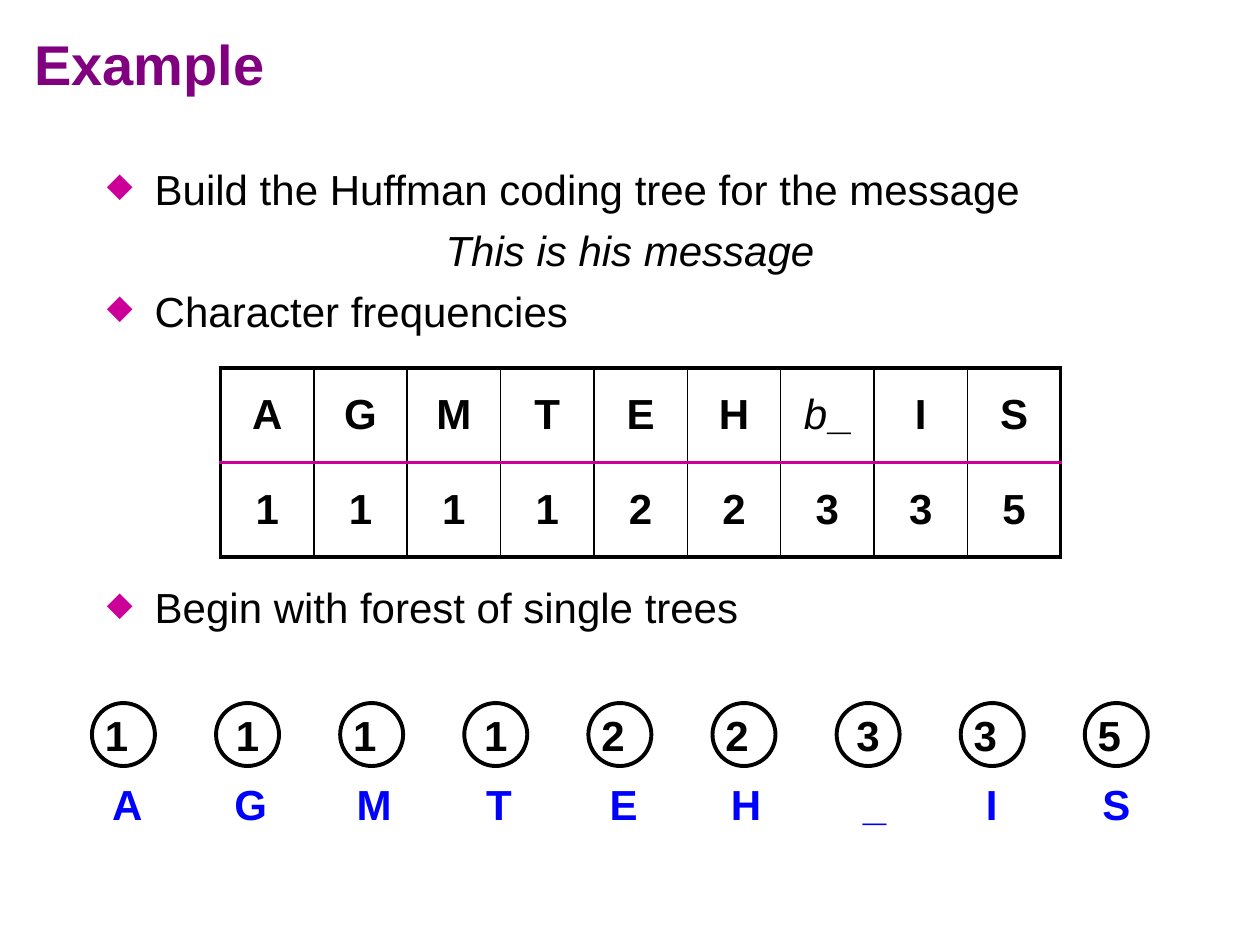
from lxml import etree
from pptx import Presentation
from pptx.dml.color import RGBColor
from pptx.enum.shapes import MSO_SHAPE
from pptx.enum.text import MSO_ANCHOR, PP_ALIGN
from pptx.oxml.ns import qn
from pptx.util import Inches, Pt

LEFT, CENTER = PP_ALIGN.LEFT, PP_ALIGN.CENTER
MIDDLE = MSO_ANCHOR.MIDDLE
BLACK, BLUE, PURPLE, MAGENTA = "000000", "0000FF", "800080", "CC0099"


def color(value):
    return RGBColor.from_string(value)


def add_span(para, text, fill=BLACK, size=24, bold=True, italic=False):
    """Add one run of formatted text to a paragraph."""
    span = para.add_run()
    span.text = text
    span.font.name = "Arial"
    span.font.size = Pt(size)
    span.font.bold = bold
    span.font.italic = italic
    span.font.color.rgb = color(fill)


deck = Presentation()
deck.slide_width, deck.slide_height = Inches(10), Inches(7.5)
page = deck.slides.add_slide(deck.slide_layouts[5])

title = page.shapes.title
title.left, title.top = Inches(0.17), Inches(0.04)
title.width, title.height = Inches(9.67), Inches(0.92)
title.text_frame.vertical_anchor = MIDDLE
title_para = title.text_frame.paragraphs[0]
title_para.alignment = LEFT
add_span(title_para, "Example", PURPLE, size=32)

# Statement lines: text, space before in points, bulleted or centred italic
lines = [
    ("Build the Huffman coding tree for the message", 2.5, True),
    ("This is his message", 6, False),
    ("Character frequencies", 6, True),
    ("Begin with forest of single trees", 140.5, True),
]
body = page.shapes.add_textbox(Inches(0.75), Inches(1.25), Inches(8.5), Inches(5.75))
body.text_frame.word_wrap = True
for index, (text, space, bulleted) in enumerate(lines):
    para = body.text_frame.add_paragraph() if index else body.text_frame.paragraphs[0]
    para.space_before = Pt(space)
    para.alignment = LEFT if bulleted else CENTER
    add_span(para, text, bold=False, italic=not bulleted)
    props = para._p.get_or_add_pPr()
    props.set("marL", str(Inches(0.38)))
    props.set("indent", str(-Inches(0.38)))
    if bulleted:
        bullet_color = etree.SubElement(props, qn("a:buClr"))
        etree.SubElement(bullet_color, qn("a:srgbClr"), val=MAGENTA)
        etree.SubElement(props, qn("a:buSzPct"), val="80000")
        etree.SubElement(props, qn("a:buChar"), char="◆")

# Letter, frequency, digit alignment in its node, centre of the label below
letters = [
    ("A", 1, LEFT, 1.01),
    ("G", 1, CENTER, 1.99),
    ("M", 1, LEFT, 2.97),
    ("T", 1, CENTER, 3.96),
    ("E", 2, LEFT, 4.95),
    ("H", 2, LEFT, 5.92),
    ("_", 3, CENTER, 6.94),
    ("I", 3, LEFT, 7.87),
    ("S", 5, LEFT, 8.86),
]

last = len(letters) - 1
table = page.shapes.add_table(2, len(letters), Inches(1.75), Inches(2.92),
                              Inches(6.67), Inches(1.5)).table
table.first_row = table.horz_banding = False
for column, (letter, count, _, _) in enumerate(letters):
    for row, text in enumerate((letter, str(count))):
        cell = table.cell(row, column)
        cell.vertical_anchor = MIDDLE
        para = cell.text_frame.paragraphs[0]
        para.alignment = CENTER
        if text == "_":
            add_span(para, "b", bold=False, italic=True)
        add_span(para, text)
        borders = {
            "a:lnL": (BLACK, 1 if column else 2.25),
            "a:lnR": (BLACK, 2.25 if column == last else 1),
            "a:lnT": (MAGENTA if row else BLACK, 2.25),
            "a:lnB": (BLACK if row else MAGENTA, 2.25),
        }
        cell_props = cell._tc.get_or_add_tcPr()
        for side, (line_color, width) in borders.items():
            border = etree.SubElement(cell_props, qn(side), w=str(Pt(width)))
            fill = etree.SubElement(border, qn("a:solidFill"))
            etree.SubElement(fill, qn("a:srgbClr"), val=line_color)
        cell.fill.background()

# Forest of single-node trees
NODE, FIRST_LEFT, PITCH = 0.5, 0.73, 0.985
for column, (letter, count, alignment, label_center) in enumerate(letters):
    node = page.shapes.add_shape(MSO_SHAPE.OVAL, Inches(FIRST_LEFT + column * PITCH),
                                 Inches(5.58), Inches(NODE), Inches(NODE))
    node.shadow.inherit = False
    node.fill.background()
    node.line.color.rgb = color(BLACK)
    node.line.width = Pt(2.25)
    frame = node.text_frame
    frame.word_wrap = True
    frame.vertical_anchor = MIDDLE
    frame.margin_left = frame.margin_right = Inches(0.03)
    frame.margin_top = frame.margin_bottom = 0
    frame.paragraphs[0].alignment = alignment
    add_span(frame.paragraphs[0], str(count))

    label = page.shapes.add_textbox(Inches(label_center - NODE / 2), Inches(6.13),
                                    Inches(NODE), Inches(NODE))
    label.text_frame.word_wrap = False
    label.text_frame.paragraphs[0].alignment = CENTER
    add_span(label.text_frame.paragraphs[0], letter, BLUE)

deck.save("out.pptx")
